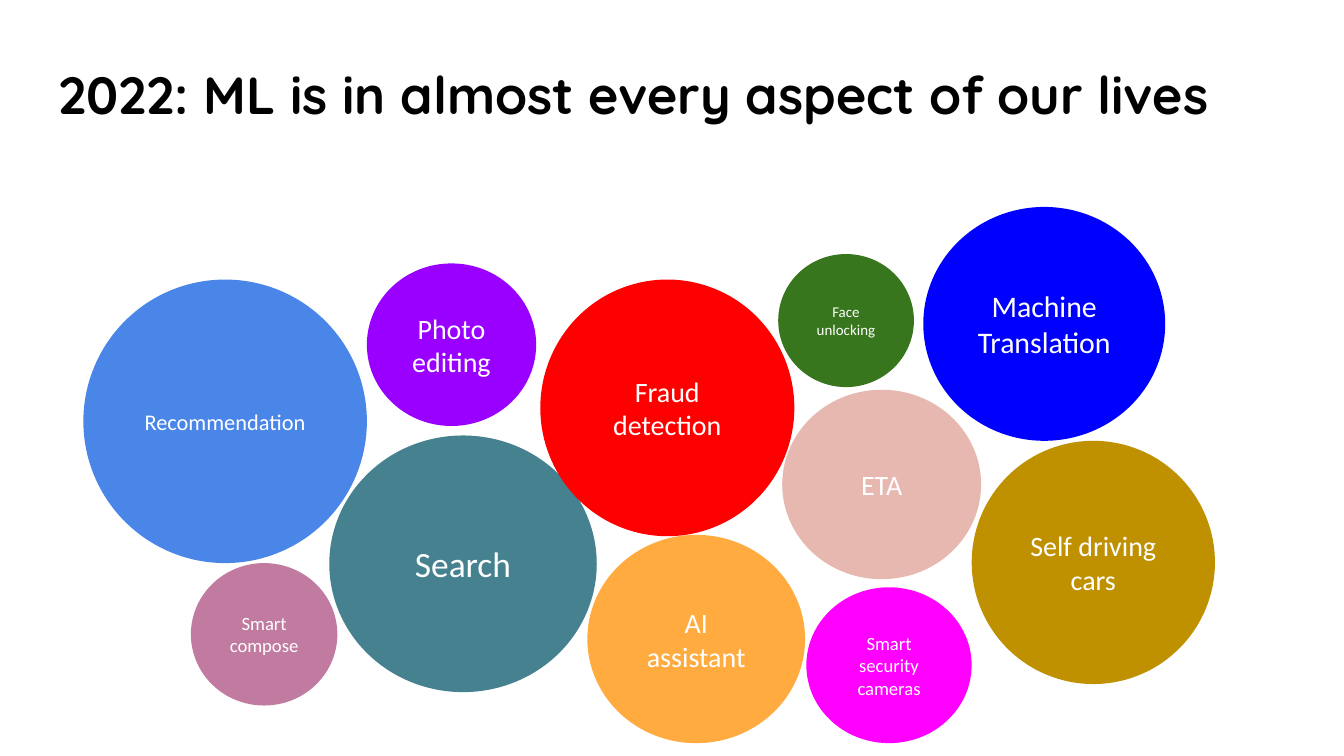
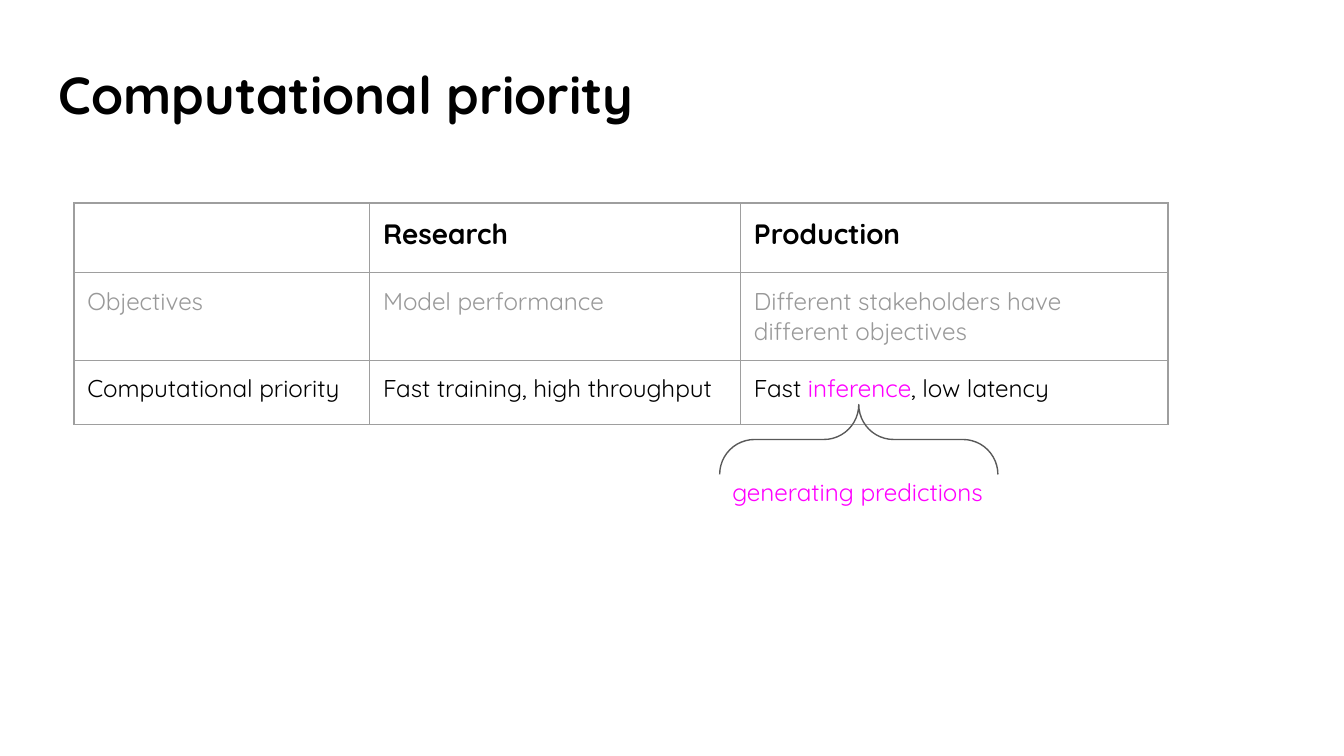
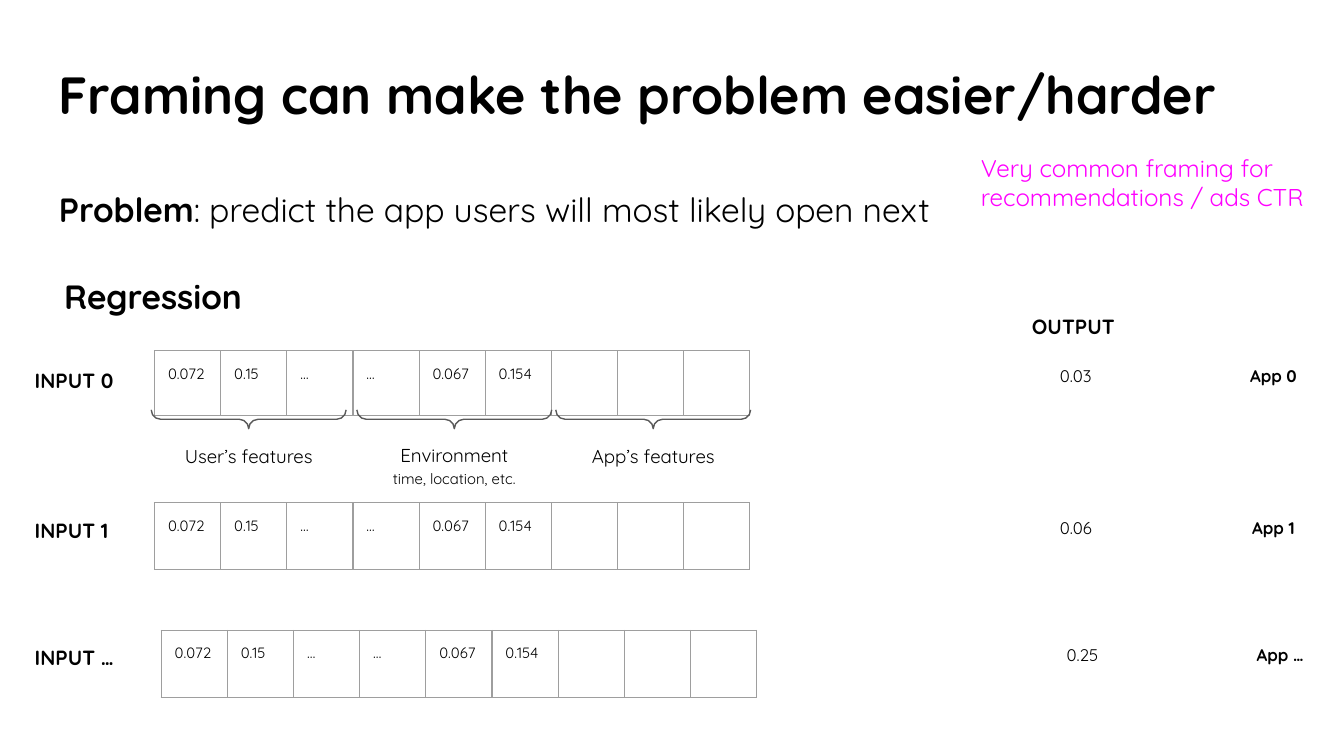
from dataclasses import dataclass

from lxml.etree import SubElement
from pptx import Presentation
from pptx.dml.color import RGBColor
from pptx.enum.shapes import MSO_SHAPE
from pptx.enum.text import MSO_ANCHOR, MSO_AUTO_SIZE, PP_ALIGN
from pptx.oxml.ns import qn
from pptx.util import Inches, Pt


@dataclass(frozen=True)
class Theme:
    font: str = "Quicksand"
    bubble_font: str = "Calibri"
    ink: str = "000000"
    white: str = "FFFFFF"
    muted: str = "999999"
    accent: str = "FF00FF"
    border: str = "9E9E9E"
    brace: str = "595959"
    title: int = 28
    lead: int = 18
    header: int = 15
    body: int = 13
    label: int = 11
    caption: int = 10
    output: int = 9
    small: int = 8
    hairline: float = 0.75
    inset: float = 0.1


T = Theme()

BUBBLES = [
    ("Face\nunlocking", 8, "38761D", 5.79, 1.89, 1.01, 0.99),
    ("Recommendation", 12, "4A86E8", 0.62, 2.08, 2.11, 2.11),
    ("Search", 19, "45818E", 2.45, 3.24, 1.99, 1.91),
    ("Photo editing", 15, "9900FF", 2.73, 1.96, 1.26, 1.21),
    ("AI assistant", 15, "FFAB40", 4.37, 3.98, 1.62, 1.55),
    ("Fraud detection", 15, "FF0000", 4.02, 2.08, 1.89, 1.91),
    ("ETA", 15, "E6B8AF", 5.82, 2.9, 1.48, 1.41),
    ("Smart compose", 10, "C27BA0", 1.42, 4.19, 1.09, 1.06),
    ("Smart security cameras", 10, "FF00FF", 6, 4.37, 1.23, 1.16),
    ("Self driving cars", 15, "BF9000", 7.23, 3.28, 1.81, 1.81),
    ("Machine Translation", 16, "0000FF", 6.87, 1.54, 1.8, 1.74),
]

PRIORITY_COLS = [2.2, 2.76, 3.18]
PRIORITY_ROWS = [
    (0.52, T.header, T.ink, True, ["", "Research", "Production"]),
    (0.65, T.body, T.muted, False,
     ["Objectives", "Model performance", "Different stakeholders have different objectives"]),
    (0.48, T.body, T.ink, False,
     ["Computational priority", "Fast training, high throughput",
      [("Fast ", {}), ("inference", {"color": T.accent}), (", low latency", {})]]),
]

FEATURES = ["0.072", "0.15", "…", "…", "0.067", "0.154", "", "", ""]
FEATURES_WIDTH = 4.43
INPUTS = [
    ("INPUT 0", "0.03", "App 0", 1.15, 2.61, 2.61, 0.48),
    ("INPUT 1", "0.06", "App 1", 1.15, 3.74, 3.73, 0.5),
    ("INPUT …", "0.25", "App …", 1.2, 4.69, 4.67, 0.5),
]
FEATURE_GROUPS = [
    ("User’s features", 1.85, 3.19),
    ([("Environment", {}), "br", ("time, location, etc.", {"size": T.small})], 3.38, 3.18),
    ("App’s features", 4.86, 3.19),
]


def style(font, name=None, size=None, color=None, bold=None):
    if name:
        font.name = name
    if size:
        font.size = Pt(size)
    if color:
        font.color.rgb = RGBColor.from_string(color)
    if bold is not None:
        font.bold = bold


def write(tf, content, size, color=T.ink, bold=False, name=T.font,
          align=None, spacing=None, after=None):
    paragraphs = content.split("\n") if isinstance(content, str) else [content]
    for i, runs in enumerate(paragraphs):
        p = tf.add_paragraph() if i else tf.paragraphs[0]
        style(p.font, name, size, color, bold)
        if align is not None:
            p.alignment = align
        if spacing:
            p.line_spacing = spacing
        if after:
            p.space_after = Pt(after)
        if isinstance(runs, str):
            runs = [(runs, {})] if runs else []
        for part in runs:
            if part == "br":
                p.add_line_break()
                continue
            r = p.add_run()
            r.text = part[0]
            style(r.font, **part[1])


def set_insets(obj):
    obj.margin_left = obj.margin_right = Inches(T.inset)
    obj.margin_top = obj.margin_bottom = Inches(T.inset)


def add_text(s, box, content, size, grow=False, **look):
    tf = s.shapes.add_textbox(*map(Inches, box)).text_frame
    tf.word_wrap = True
    set_insets(tf)
    if grow:
        tf.auto_size = MSO_AUTO_SIZE.SHAPE_TO_FIT_TEXT
    write(tf, content, size, **look)


def add_label(s, box, content, size, **look):
    add_text(s, box, content, size, grow=True, spacing=1.15, after=16, **look)


def add_brace(s, cx, cy, length, depth, rotation):
    box = (cx - depth / 2, cy - length / 2, depth, length)
    sp = s.shapes.add_shape(MSO_SHAPE.RIGHT_BRACE, *map(Inches, box))
    sp.rotation = rotation
    sp.adjustments[0] = sp.adjustments[1] = 0.5
    sp.shadow.inherit = False
    sp.fill.background()
    sp.line.color.rgb = RGBColor.from_string(T.brace)
    sp.line.width = Pt(T.hairline)


def add_borders(cell):
    tcPr = cell._tc.get_or_add_tcPr()
    for i, side in enumerate(("lnL", "lnR", "lnT", "lnB")):
        ln = SubElement(tcPr, qn("a:" + side), w=str(Pt(T.hairline)))
        fill = SubElement(ln, qn("a:solidFill"))
        SubElement(fill, qn("a:srgbClr"), val=T.border)
        tcPr.insert(i, ln)


def add_grid(s, left, top, cols, rows):
    height = sum(row[0] for row in rows)
    frame = s.shapes.add_table(len(rows), len(cols), *map(Inches, (left, top, sum(cols), height)))
    table = frame.table
    table.first_row = table.horz_banding = False
    for column, width in zip(table.columns, cols):
        column.width = Inches(width)
    for row, (row_height, size, color, bold, texts) in zip(table.rows, rows):
        row.height = Inches(row_height)
        for cell, text in zip(row.cells, texts):
            set_insets(cell)
            cell.fill.background()
            add_borders(cell)
            write(cell.text_frame, text, size, color, bold)


def new_slide(prs, title):
    s = prs.slides.add_slide(prs.slide_layouts[6])
    add_text(s, (0.34, 0.36, 9.32, 0.53), title, T.title, bold=True)
    return s


def build_bubbles(prs):
    s = new_slide(prs, "2022: ML is in almost every aspect of our lives")
    group = s.shapes.add_group_shape()
    for text, size, color, *box in BUBBLES:
        sp = group.shapes.add_shape(MSO_SHAPE.OVAL, *map(Inches, box))
        sp.shadow.inherit = False
        sp.fill.solid()
        sp.fill.fore_color.rgb = RGBColor.from_string(color)
        sp.line.fill.background()
        tf = sp.text_frame
        tf.word_wrap = True
        tf.vertical_anchor = MSO_ANCHOR.MIDDLE
        set_insets(tf)
        write(tf, text, size, T.white, name=T.bubble_font, align=PP_ALIGN.CENTER)


def build_priority(prs):
    s = new_slide(prs, "Computational priority")
    add_grid(s, 0.55, 1.51, PRIORITY_COLS, PRIORITY_ROWS)
    add_brace(s, 6.39, 3.27, 2.07, 0.52, 270)
    add_text(s, (5.21, 3.45, 2.34, 0.43), "generating predictions", T.body,
             color=T.accent, align=PP_ALIGN.CENTER)


def build_framing(prs):
    s = new_slide(prs, "Framing can make the problem easier/harder")
    problem = [("Problem", {"bold": True}),
               (": predict the app users will most likely open next", {})]
    add_text(s, (0.34, 1.26, 9.32, 0.58), problem, T.lead, spacing=1.15)
    add_text(s, (7.2, 1.04, 2.76, 0.64), "Very common framing for recommendations / ads CTR",
             T.body, grow=True, color=T.accent)
    add_label(s, (0.38, 1.91, 2.14, 0.5), "Regression", T.lead, bold=True)
    add_label(s, (7.58, 2.21, 0.86, 0.39), "OUTPUT", T.label, bold=True)

    cols = [FEATURES_WIDTH / len(FEATURES)] * len(FEATURES)
    for name, output, app, left, top, name_top, height in INPUTS:
        add_label(s, (0.16, name_top, 0.86, 0.39), name, T.label, bold=True)
        add_grid(s, left, top, cols, [(height, T.small, T.ink, False, FEATURES)])
        add_label(s, (left + 6.52, top, 0.67, 0.35), output, T.output, align=PP_ALIGN.CENTER)
        add_label(s, (left + 7.99, top, 0.67, 0.35), app, T.output, bold=True,
                  align=PP_ALIGN.CENTER)

    for text, cx, top in FEATURE_GROUPS:
        add_brace(s, cx, 3.12, 1.45, 0.14, 90)
        add_label(s, (cx - 0.61, top, 1.22, 0.37), text, T.caption, align=PP_ALIGN.CENTER)


def main():
    prs = Presentation()
    prs.slide_width = Inches(10)
    prs.slide_height = prs.slide_width * 9 // 16
    build_bubbles(prs)
    build_priority(prs)
    build_framing(prs)
    prs.save("out.pptx")


if __name__ == "__main__":
    main()
